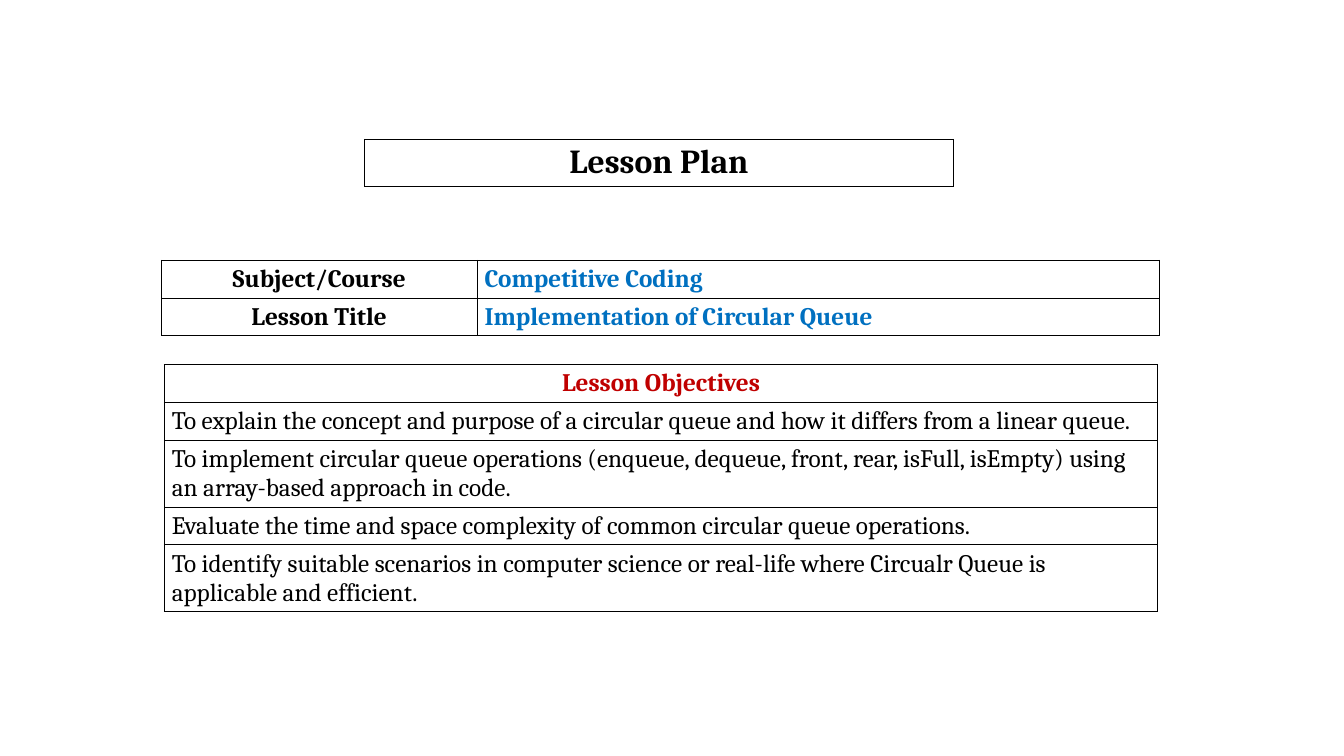
from lxml.etree import SubElement
from pptx import Presentation
from pptx.dml.color import RGBColor
from pptx.enum.text import MSO_ANCHOR, PP_ALIGN
from pptx.oxml.ns import qn
from pptx.util import Cm, Pt

BLACK = RGBColor(0x00, 0x00, 0x00)
WHITE = RGBColor(0xFF, 0xFF, 0xFF)
BLUE = RGBColor(0x00, 0x70, 0xC0)
RED = RGBColor(0xC0, 0x00, 0x00)

FONT = "Cambria"
BORDER_WIDTH = Pt(0.77)
ONE_LINE, TWO_LINES, TITLE_LINE = 0.95, 1.69, 1.19

CELL_FORMAT = {
    "vertical_anchor": MSO_ANCHOR.MIDDLE,
    "margin_left": Cm(0.19),
    "margin_right": Cm(0.19),
    "margin_top": Cm(0.1),
    "margin_bottom": Cm(0.1),
}
TITLE = {"size": Pt(24), "bold": True, "color": BLACK, "align": PP_ALIGN.CENTER}
LABEL = {**TITLE, "size": Pt(18)}
HEADING = {**LABEL, "color": RED}
VALUE = {**LABEL, "color": BLUE, "align": PP_ALIGN.LEFT}
BODY = {**VALUE, "color": BLACK, "bold": False}

COURSE_DETAILS = [
    ("Subject/Course", "Competitive Coding"),
    ("Lesson Title", "Implementation of Circular Queue"),
]
OBJECTIVES = [
    ("To explain the concept and purpose of a circular queue and how it "
     "differs from a linear queue.", ONE_LINE),
    ("To implement circular queue operations (enqueue, dequeue, front, rear, "
     "isFull, isEmpty) using an array-based approach in code.", TWO_LINES),
    ("Evaluate the time and space complexity of common circular queue "
     "operations.", ONE_LINE),
    ("To identify suitable scenarios in computer science or real-life where "
     "Circualr Queue is applicable and efficient.", TWO_LINES),
]


def add_borders(cell):
    properties = cell._tc.get_or_add_tcPr()
    for side in ("a:lnL", "a:lnR", "a:lnT", "a:lnB"):
        line = SubElement(properties, qn(side), w=str(BORDER_WIDTH))
        fill = SubElement(line, qn("a:solidFill"))
        SubElement(fill, qn("a:srgbClr"), val=str(BLACK))


def fill_cell(cell, text, style):
    for name, value in CELL_FORMAT.items():
        setattr(cell, name, value)
    add_borders(cell)
    cell.fill.solid()
    cell.fill.fore_color.rgb = WHITE

    paragraph = cell.text_frame.paragraphs[0]
    paragraph.alignment = style["align"]
    run = paragraph.add_run()
    run.text = text
    run.font.name = FONT
    run.font.size = style["size"]
    run.font.bold = style["bold"]
    run.font.color.rgb = style["color"]


def add_bordered_table(slide, left, top, widths, heights, rows):
    """Lengths are in centimetres; each row is a list of (text, style) cells."""
    table = slide.shapes.add_table(
        len(heights), len(widths),
        Cm(left), Cm(top), Cm(sum(widths)), Cm(sum(heights)),
    ).table
    table.first_row = False
    table.horz_banding = False
    for column, width in zip(table.columns, widths):
        column.width = Cm(width)
    for table_row, height, cells in zip(table.rows, heights, rows):
        table_row.height = Cm(height)
        for cell, (text, style) in zip(table_row.cells, cells):
            fill_cell(cell, text, style)


def main():
    presentation = Presentation()
    presentation.slide_width = Cm(33.87)
    presentation.slide_height = Cm(19.05)
    slide = presentation.slides.add_slide(presentation.slide_layouts[6])

    add_bordered_table(slide, 9.19, 3.51, [14.83], [TITLE_LINE],
                       [[("Lesson Plan", TITLE)]])

    details = [[(label, LABEL), (value, VALUE)] for label, value in COURSE_DETAILS]
    add_bordered_table(slide, 4.07, 6.56, [7.95, 17.2],
                       [ONE_LINE] * len(details), details)

    objectives = [[("Lesson Objectives", HEADING)]]
    objectives += [[(text, BODY)] for text, _ in OBJECTIVES]
    heights = [ONE_LINE] + [height for _, height in OBJECTIVES]
    add_bordered_table(slide, 4.14, 9.19, [25.04], heights, objectives)

    presentation.save("out.pptx")


if __name__ == "__main__":
    main()
